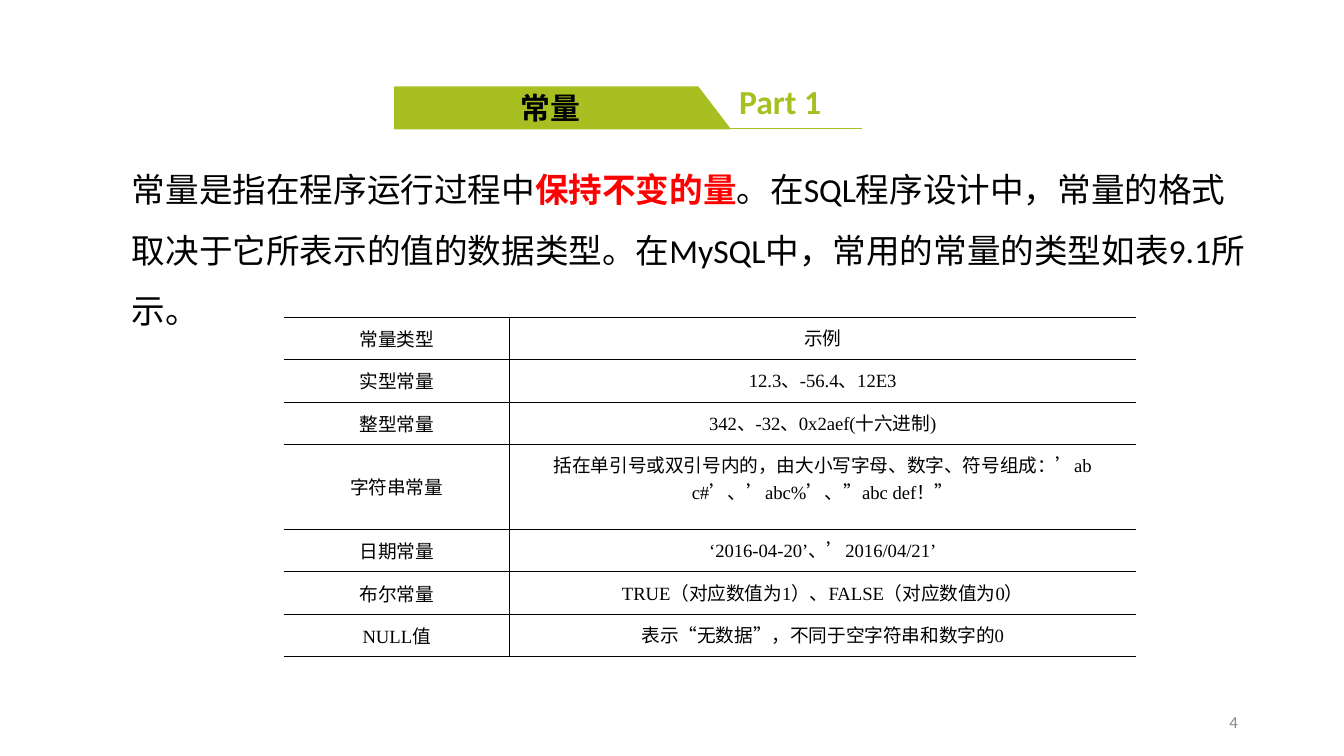
from lxml import etree
from pptx import Presentation
from pptx.dml.color import RGBColor
from pptx.enum.shapes import MSO_CONNECTOR
from pptx.enum.text import MSO_ANCHOR, MSO_AUTO_SIZE, PP_ALIGN
from pptx.oxml.ns import qn
from pptx.util import Pt

LEFT, CENTER, RIGHT = PP_ALIGN.LEFT, PP_ALIGN.CENTER, PP_ALIGN.RIGHT
TOP, MIDDLE = MSO_ANCHOR.TOP, MSO_ANCHOR.MIDDLE
STRAIGHT, NO_FIT = MSO_CONNECTOR.STRAIGHT, MSO_AUTO_SIZE.NONE

SANS, SERIF = "Calibri", "Times New Roman"
COLORS = {"ink": "000000", "key": "FF0000", "green": "A7BF20", "gray": "898989"}

TITLE = [("常量", "ink", True)]
PART = [("Part 1", "green", True)]
NUMBER = [("4", "gray", False)]
BODY = [
    ("常量是指在程序运行过程中", "ink", False),
    ("保持不变的量", "key", True),
    ("。在SQL程序设计中，常量的格式取决于它所表示的值的数据类型。"
     "在MySQL中，常用的常量的类型如表9.1所示。", "ink", False),
]
ROWS = [
    ("常量类型", "示例"),
    ("实型常量", "12.3、-56.4、12E3"),
    ("整型常量", "342、-32、0x2aef(十六进制)"),
    ("字符串常量", "括在单引号或双引号内的，由大小写字母、数字、符号组成："
     "’ab c#’、’abc%’、”abc def！”"),
    ("日期常量", "‘2016-04-20’、’2016/04/21’"),
    ("布尔常量", "TRUE（对应数值为1）、FALSE（对应数值为0）"),
    ("NULL值", "表示“无数据”，不同于空字符串和数字的0"),
]
TALL = 3  # row with two lines of text
ROW_H = 22.77
COL_W = (121, 335.5)
TABLE_AT = (152, 169.8)

BANNER = [(211.5, 46.7), (374, 46.7), (391, 69), (211.5, 69)]
RULE = (374, 69, 461.8, 69)


def rgb(name):
    return RGBColor.from_string(COLORS[name])


def write(frame, runs, size, align, font=SANS):
    para = frame.paragraphs[0]
    para.alignment = align
    for text, color, bold in runs:
        run = para.add_run()
        run.text = text
        run.font.size = Pt(size)
        run.font.name = font
        run.font.bold = bold
        run.font.color.rgb = rgb(color)
    return para


def place(shape, box, pads, anchor):
    """Set position, insets (left, top, right, bottom) and anchor."""
    shape.left, shape.top, shape.width, shape.height = map(Pt, box)
    frame = shape.text_frame
    frame.word_wrap = True
    frame.auto_size = NO_FIT
    frame.vertical_anchor = anchor
    (frame.margin_left, frame.margin_top,
     frame.margin_right, frame.margin_bottom) = map(Pt, pads)
    return frame


def add_box(slide, box, pads):
    return place(slide.shapes.add_textbox(*map(Pt, box)), box, pads, MIDDLE)


def set_edges(cell, shown):
    """Draw the cell sides named in shown and clear the others."""
    props = cell._tc.get_or_add_tcPr()
    for side in "LRTB":
        line = etree.SubElement(props, qn(f"a:ln{side}"), w=str(Pt(0.45)))
        if side in shown:
            fill = etree.SubElement(line, qn("a:solidFill"))
            etree.SubElement(fill, qn("a:srgbClr"), val=COLORS["ink"])
        else:
            etree.SubElement(line, qn("a:noFill"))


def add_banner(slide):
    rule = slide.shapes.add_connector(STRAIGHT, *map(Pt, RULE))
    rule.line.color.rgb = rgb("green")
    rule.line.width = Pt(0.75)
    etree.SubElement(rule.element.spPr, qn("a:effectLst"))

    first, *rest = [(Pt(x), Pt(y)) for x, y in BANNER]
    path = slide.shapes.build_freeform(*first)
    path.add_line_segments(rest, close=True)
    banner = path.convert_to_shape()
    banner.shadow.inherit = False
    banner.fill.solid()
    banner.fill.fore_color.rgb = rgb("green")
    banner.line.color.rgb = rgb("green")
    banner.line.width = Pt(0.75)

    title = slide.shapes.title
    frame = place(title, (211.5, 46.7, 179.5, 22.3), (4.5, 0, 17, 0), MIDDLE)
    write(frame, TITLE, 16, CENTER)
    banner.element.addnext(title.element)  # lift the title above the banner

    write(add_box(slide, (374, 39, 88, 30), (0, 3, 0, 3)), PART, 18, CENTER)


def add_body(slide):
    frame = place(slide.placeholders[1], (63.4, 76.3, 615.6, 104.4),
                  (7.2, 3.6, 7.2, 3.6), TOP)
    props = frame.paragraphs[0]._p.get_or_add_pPr()
    props.set("marL", "0")
    props.set("indent", "0")
    etree.SubElement(props, qn("a:buNone"))
    para = write(frame, BODY, 18, LEFT)
    para.line_spacing = 1.5
    para.space_before = Pt(0)


def add_grid(slide):
    size = (sum(COL_W), ROW_H * (len(ROWS) + 1))
    grid = slide.shapes.add_table(len(ROWS), len(COL_W),
                                  *map(Pt, TABLE_AT + size)).table
    grid.first_row = grid.horz_banding = False
    for col, width in zip(grid.columns, COL_W):
        col.width = Pt(width)
    for r, texts in enumerate(ROWS):
        grid.rows[r].height = Pt(ROW_H * (2 if r == TALL else 1))
        for c, text in enumerate(texts):
            cell = grid.cell(r, c)
            set_edges(cell, ("RTB", "LTB")[c])
            cell.fill.background()
            cell.vertical_anchor = (MIDDLE, TOP)[c]
            cell.margin_left = cell.margin_right = Pt(5.4)
            cell.margin_top = cell.margin_bottom = Pt(3.6)
            write(cell.text_frame, [(text, "ink", False)], 10, CENTER, SERIF)


def main():
    deck = Presentation()
    deck.slide_width, deck.slide_height = Pt(720), Pt(405)
    slide = deck.slides.add_slide(deck.slide_layouts[1])
    add_body(slide)
    number = add_box(slide, (508.3, 375.8, 162, 21.6), (7.2, 3.6, 7.2, 3.6))
    write(number, NUMBER, 9, RIGHT)
    add_banner(slide)
    add_grid(slide)
    deck.save("out.pptx")


if __name__ == "__main__":
    main()
